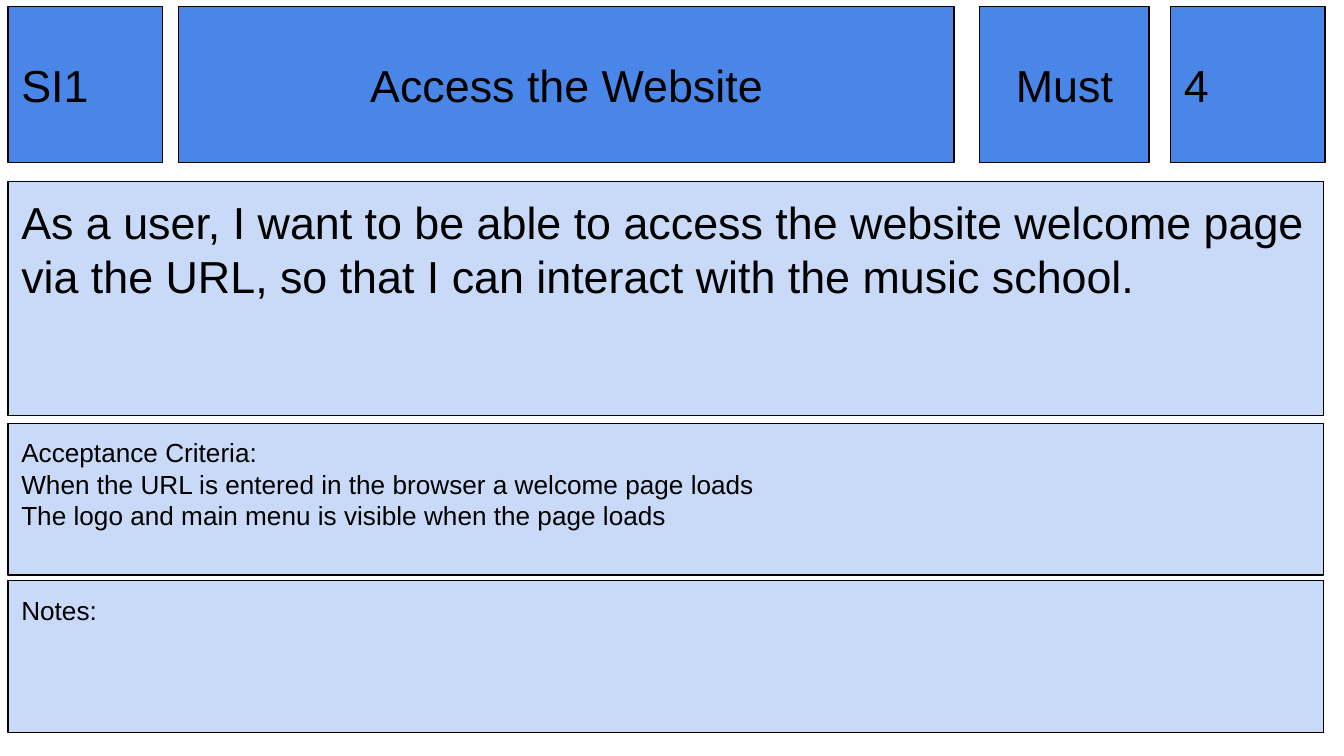
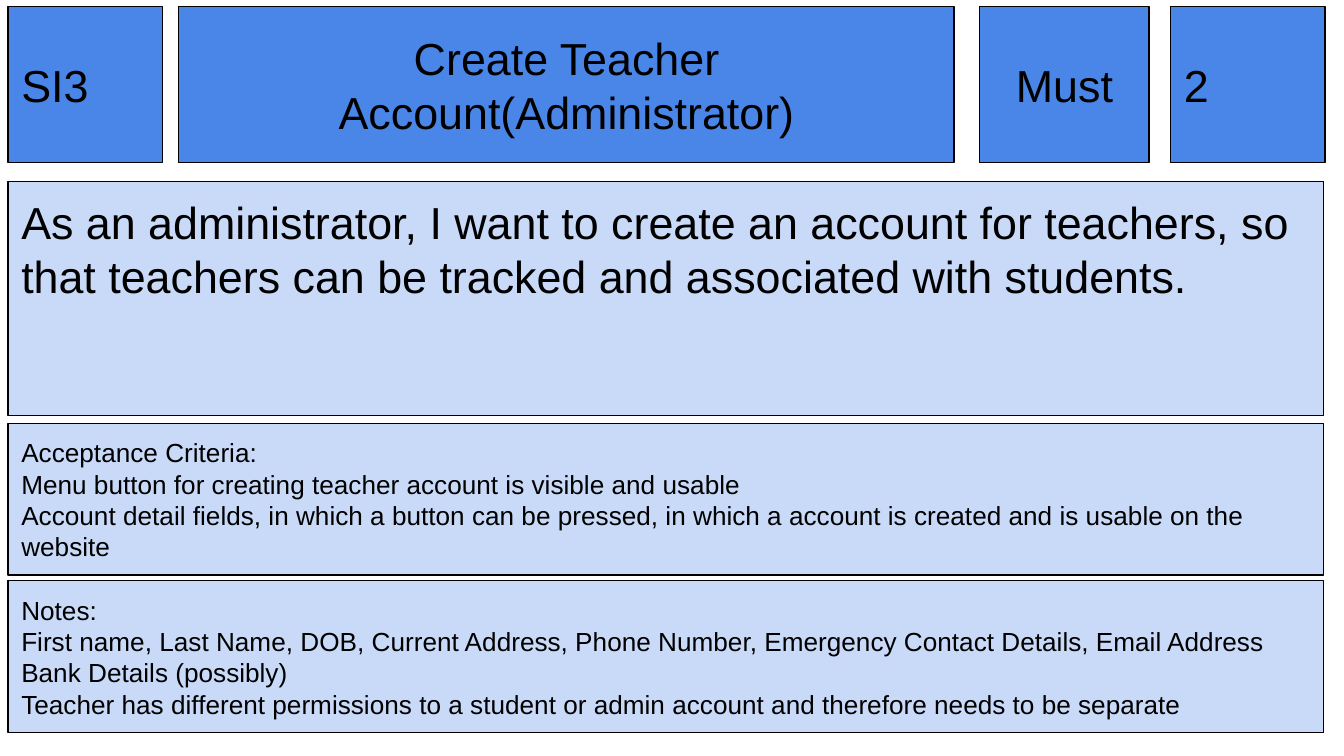
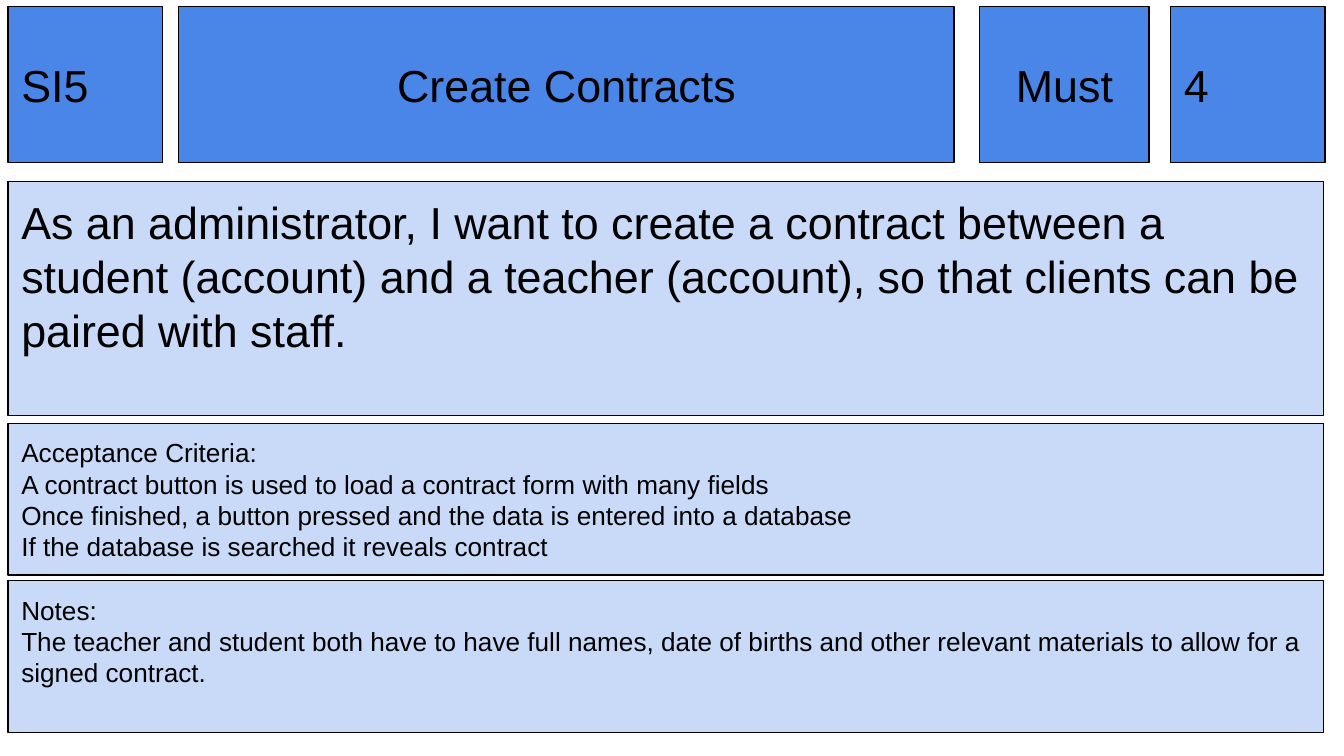
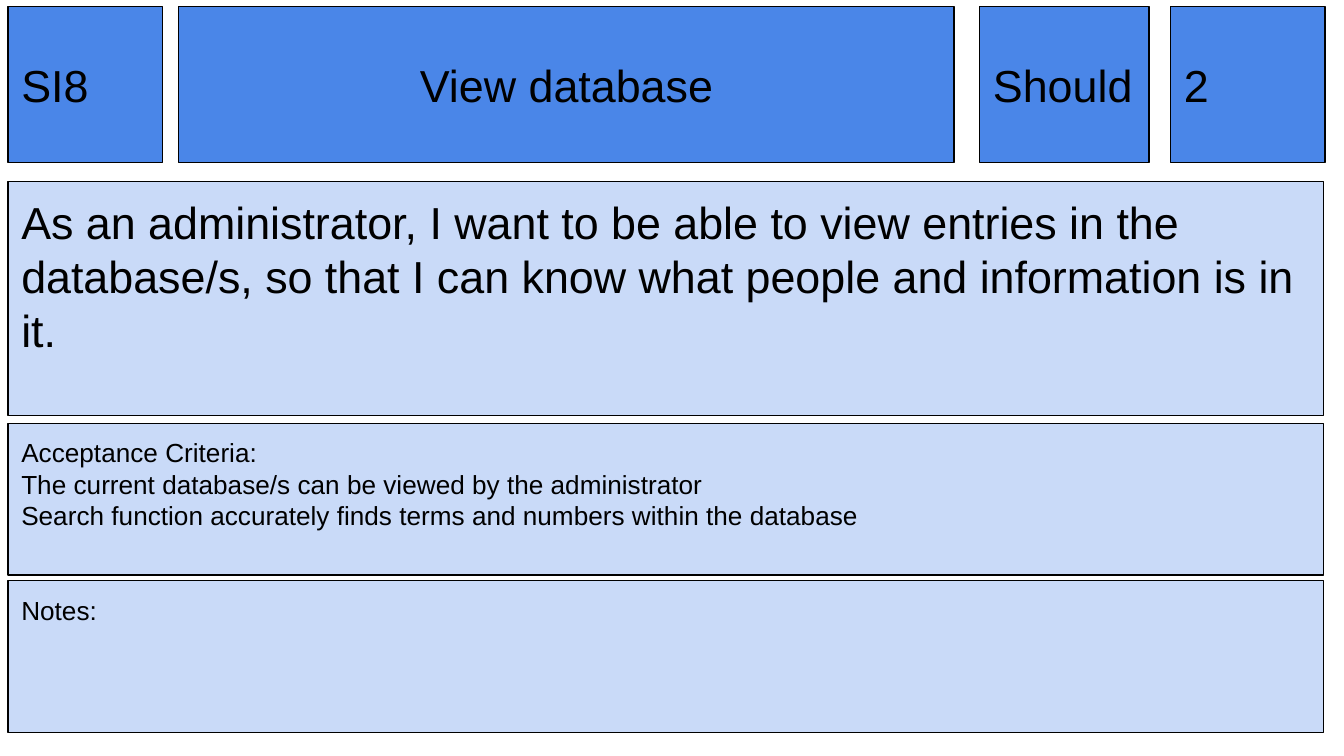
from pptx import Presentation
from pptx.dml.color import RGBColor
from pptx.enum.shapes import MSO_SHAPE as Shape
from pptx.enum.text import MSO_ANCHOR as Anchor, PP_ALIGN as Align
from pptx.util import Inches, Pt

HEADER_BLUE = RGBColor(0x4A, 0x86, 0xE8)
BODY_BLUE = RGBColor(0xC9, 0xDA, 0xF8)
BLACK = RGBColor(0, 0, 0)
FONT = "Arial"
LARGE, SMALL = 24, 14

LEFT = 0.06
HEADER_TOP, HEADER_HEIGHT = 0.05, 1.16
BODY_WIDTH = 9.79
HEADER_COLUMNS = [(LEFT, 1.15), (1.33, 5.77), (7.29, 1.26), (8.71, 1.15)]
BODY_ROWS = [(1.35, 1.74, LARGE), (3.15, 1.13, SMALL), (4.32, 1.13, SMALL)]

STORIES = [
    {
        "id": "SI1", "title": "Access the Website", "priority": "Must", "points": "4",
        "story": "As a user, I want to be able to access the website welcome page "
                 "via the URL, so that I can interact with the music school.",
        "criteria": [
            "When the URL is entered in the browser a welcome page loads",
            "The logo and main menu is visible when the page loads",
        ],
        "notes": [],
    },
    {
        "id": "SI3", "title": "Create Teacher Account(Administrator)",
        "priority": "Must", "points": "2",
        "story": "As an administrator, I want to create an account for teachers, so "
                 "that teachers can be tracked and associated with students.",
        "criteria": [
            "Menu button for creating teacher account is visible and usable",
            "Account detail fields, in which a button can be pressed, in which a "
            "account is created and is usable on the website",
        ],
        "notes": [
            "First name, Last Name, DOB, Current Address, Phone Number, "
            "Emergency Contact Details, Email Address",
            "Bank Details (possibly)",
            "Teacher has different permissions to a student or admin account "
            "and therefore needs to be separate",
        ],
    },
    {
        "id": "SI5", "title": "Create Contracts", "priority": "Must", "points": "4",
        "story": "As an administrator, I want to create a contract between a "
                 "student (account) and a teacher (account), so that clients can be "
                 "paired with staff.",
        "criteria": [
            "A contract button is used to load a contract form with many fields",
            "Once finished, a button pressed and the data is entered into a database",
            "If the database is searched it reveals contract",
        ],
        "notes": [
            "The teacher and student both have to have full names, date of births "
            "and other relevant materials to allow for a signed contract.",
        ],
    },
    {
        "id": "SI8", "title": "View database", "priority": "Should", "points": "2",
        "story": "As an administrator, I want to be able to view entries in the "
                 "database/s, so that I can know what people and information is in it.",
        "criteria": [
            "The current database/s can be viewed by the administrator",
            "Search function accurately finds terms and numbers within the database",
        ],
        "notes": [],
    },
]


def add_panel(slide, box, fill, lines, size, anchor=Anchor.TOP, align=Align.LEFT):
    """Add an outlined rectangle with one paragraph per line of text."""
    panel = slide.shapes.add_shape(Shape.RECTANGLE, *map(Inches, box))
    panel.shadow.inherit = False
    panel.fill.solid()
    panel.fill.fore_color.rgb = fill
    panel.line.color.rgb = BLACK
    panel.line.width = Pt(0.75)
    frame = panel.text_frame
    frame.word_wrap = True
    frame.vertical_anchor = anchor
    frame.margin_left = frame.margin_right = Inches(0.1)
    frame.margin_top = frame.margin_bottom = Inches(0.1)
    for index, line in enumerate(lines):
        paragraph = frame.add_paragraph() if index else frame.paragraphs[0]
        paragraph.alignment = align
        run = paragraph.add_run()
        run.text = line
        run.font.name = FONT
        run.font.size = Pt(size)
        run.font.color.rgb = BLACK


deck = Presentation()
deck.slide_width = Inches(10)
deck.slide_height = Inches(10 * 9 / 16)
blank = deck.slide_layouts[6]

for card in STORIES:
    slide = deck.slides.add_slide(blank)

    # "Should" fills its box, so it starts at the left margin
    priority_align = Align.CENTER if card["priority"] == "Must" else Align.LEFT
    headers = [
        (card["id"], Align.LEFT),
        (card["title"], Align.CENTER),
        (card["priority"], priority_align),
        (card["points"], Align.LEFT),
    ]
    for (left, width), (label, align) in zip(HEADER_COLUMNS, headers):
        add_panel(slide, (left, HEADER_TOP, width, HEADER_HEIGHT), HEADER_BLUE,
                  [label], LARGE, Anchor.MIDDLE, align)

    sections = [
        [card["story"]],
        ["Acceptance Criteria:", *card["criteria"]],
        ["Notes:", *card["notes"]],
    ]
    for (top, height, size), lines in zip(BODY_ROWS, sections):
        add_panel(slide, (LEFT, top, BODY_WIDTH, height), BODY_BLUE, lines, size)

deck.save("out.pptx")
